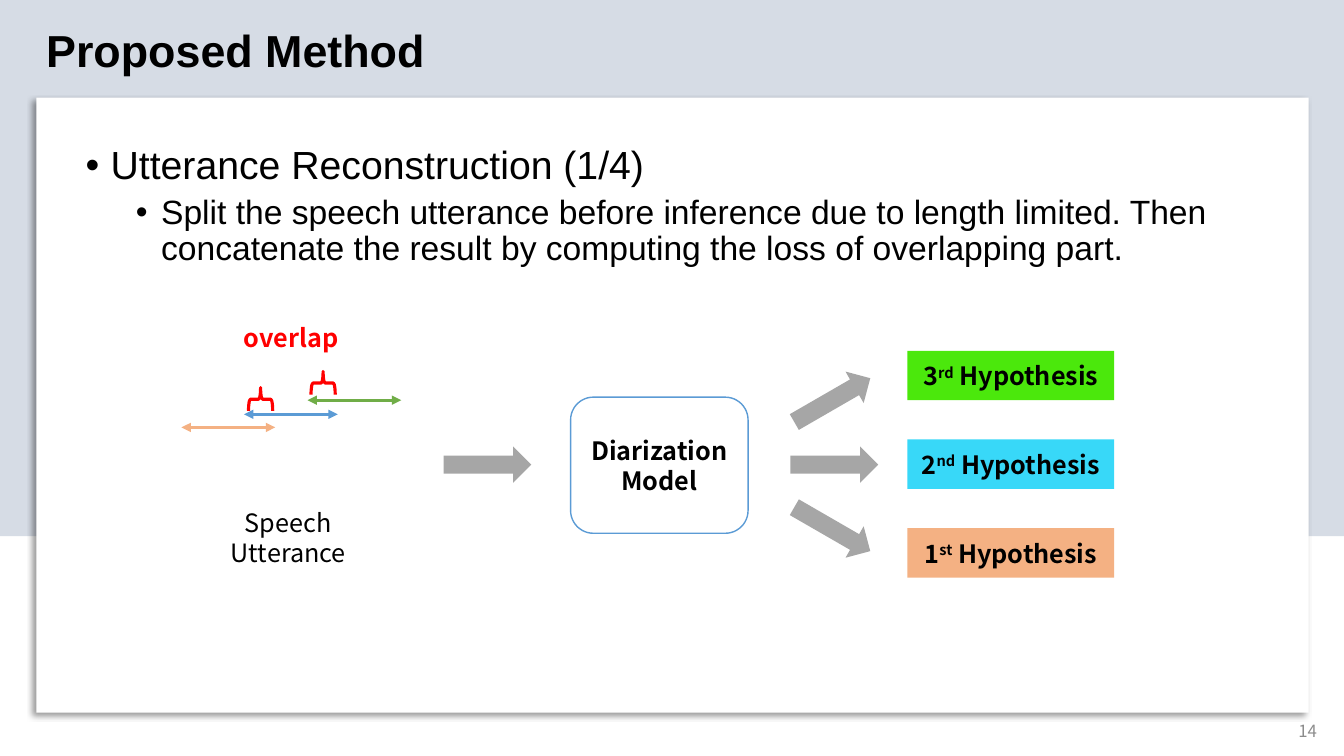
from lxml.etree import SubElement
from pptx import Presentation
from pptx.dml.color import RGBColor
from pptx.enum.shapes import MSO_CONNECTOR, MSO_SHAPE as Preset
from pptx.enum.text import MSO_ANCHOR as Anchor, PP_ALIGN as Align
from pptx.oxml.ns import qn
from pptx.util import Inches, Pt

COLORS = {
    "band": "D6DCE5", "white": "FFFFFF", "black": "000000", "page": "8C8C8C",
    "red": "FF0000", "gray": "A6A6A6", "blue": "5B9BD5", "green": "70AD47",
    "orange": "F4B183", "cyan": "38D8F8", "lime": "4BE80C",
}
HEADING, LABEL = "Arial", "Noto Sans CJK KR"


def rgb(name):
    return RGBColor.from_string(COLORS[name])


class SlideBuilder:
    def __init__(self, slide):
        self.shapes = slide.shapes

    def style(self, paragraph, size, face=LABEL, color="black", bold=False):
        for run in paragraph.runs:
            run.font.size, run.font.name, run.font.bold = Pt(size), face, bold
            run.font.color.rgb = rgb(color)

    def shape(self, preset, box, fill=None, line=None, width=1, rotation=0):
        shape = self.shapes.add_shape(preset, *map(Inches, box))
        shape.shadow.inherit = False
        shape.rotation = rotation
        if fill:
            shape.fill.solid()
            shape.fill.fore_color.rgb = rgb(fill)
        else:
            shape.fill.background()
        if line:
            shape.line.color.rgb = rgb(line)
            shape.line.width = Pt(width)
        else:
            shape.line.fill.background()
        return shape

    def panel(self, box):
        effects = self.shape(Preset.RECTANGLE, box, "white")._element.spPr.find(qn("a:effectLst"))
        shadow = SubElement(effects, qn("a:outerShdw"), blurRad=str(Pt(4)), dist=str(Pt(3)),
                            dir=str(135 * 60000), algn="tr", rotWithShape="0")
        tint = SubElement(shadow, qn("a:srgbClr"), val=COLORS["black"])
        SubElement(tint, qn("a:alpha"), val="40000")

    def text(self, box, words, size, align=Align.LEFT, anchor=Anchor.TOP, wrap=True, **look):
        frame = self.shapes.add_textbox(*map(Inches, box)).text_frame
        frame.word_wrap, frame.vertical_anchor = wrap, anchor
        frame.text = words
        frame.paragraphs[0].alignment = align
        self.style(frame.paragraphs[0], size, **look)

    def bullets(self, box, items):
        frame = self.shapes.add_textbox(*map(Inches, box)).text_frame
        frame.word_wrap = True
        for level, (words, size) in enumerate(items):
            paragraph = frame.add_paragraph() if level else frame.paragraphs[0]
            paragraph.text = words
            paragraph.level = level
            paragraph.line_spacing = 0.9
            if level:
                paragraph.space_before = Pt(5)
            props = paragraph._p.get_or_add_pPr()
            props.set("marL", str(Inches(0.25 + 0.5 * level)))
            props.set("indent", str(Inches(-0.25)))
            SubElement(props, qn("a:buFont"), typeface=HEADING)
            SubElement(props, qn("a:buChar"), char="•")
            self.style(paragraph, size, HEADING)

    def segment(self, left, top, length, color):
        line = self.shapes.add_connector(MSO_CONNECTOR.STRAIGHT, Inches(left), Inches(top),
                                         Inches(left + length), Inches(top))
        line.line.color.rgb = rgb(color)
        line.line.width = Pt(2.25)
        outline = line.line._get_or_add_ln()
        for end in ("a:headEnd", "a:tailEnd"):
            SubElement(outline, qn(end), type="triangle")
        SubElement(line._element.spPr, qn("a:effectLst"))

    def brace(self, left, top):
        self.shape(Preset.RIGHT_BRACE, (left, top, 0.23, 0.24), line="red", width=2.25, rotation=270)

    def arrow(self, left, top, rotation=0):
        self.shape(Preset.RIGHT_ARROW, (left, top, 0.87, 0.36), "gray", rotation=rotation)

    def block(self, preset, box, parts, fill, line=None):
        frame = self.shape(preset, box, fill, line).text_frame
        frame.word_wrap, frame.vertical_anchor = True, Anchor.MIDDLE
        paragraph = frame.paragraphs[0]
        paragraph.alignment = Align.CENTER
        for part in parts:
            paragraph.add_run().text = part
        self.style(paragraph, 18, bold=True)
        return paragraph

    def hypothesis(self, top, number, suffix, fill):
        ordinal = self.block(Preset.RECTANGLE, (9, top, 2.05, 0.49),
                             (number, suffix, " Hypothesis"), fill)
        ordinal.runs[1]._r.get_or_add_rPr().set("baseline", "30000")


def main():
    deck = Presentation()
    deck.slide_width, deck.slide_height = Inches(13.33), Inches(7.5)
    page = SlideBuilder(deck.slides.add_slide(deck.slide_layouts[6]))

    page.shape(Preset.RECTANGLE, (0, 0, 13.33, 5.32), "band")
    page.panel((0.36, 0.97, 12.62, 6.1))
    page.text((10.16, 7.05, 3, 0.4), "14", 12, Align.RIGHT, Anchor.MIDDLE, color="page")
    page.text((0.36, 0.18, 3.99, 0.64), "Proposed Method", 32, wrap=False, face=HEADING, bold=True)
    page.bullets((0.75, 1.4, 11.86, 4.88), [
        ("Utterance Reconstruction (1/4)", 28),
        ("Split the speech utterance before inference due to length limited. Then "
         "concatenate the result by computing the loss of overlapping part.", 24),
    ])

    page.text((1.85, 4.98, 2.02, 0.4), "Speech Utterance", 18, Align.CENTER)
    for left, top, color in ((1.8, 4.24, "orange"), (2.42, 4.11, "blue"), (3.05, 3.97, "green")):
        page.segment(left, top, 0.93, color)
    for left, top in ((2.47, 3.84), (3.09, 3.68)):
        page.brace(left, top)
    page.text((2.32, 3.15, 1.33, 0.4), "overlap", 18, color="red", bold=True)

    page.arrow(4.4, 4.43)
    page.block(Preset.ROUNDED_RECTANGLE, (5.66, 3.94, 1.76, 1.35),
               ("Diarization Model",), "white", "blue")
    for left, top, rotation in ((7.82, 3.79, 330), (7.84, 4.43, 0), (7.82, 5.07, 30)):
        page.arrow(left, top, rotation)
    ranks = (("3", "rd", "lime"), ("2", "nd", "cyan"), ("1", "st", "orange"))
    for row, rank in enumerate(ranks):
        page.hypothesis(3.48 + 0.88 * row, *rank)

    deck.save("out.pptx")


if __name__ == "__main__":
    main()
